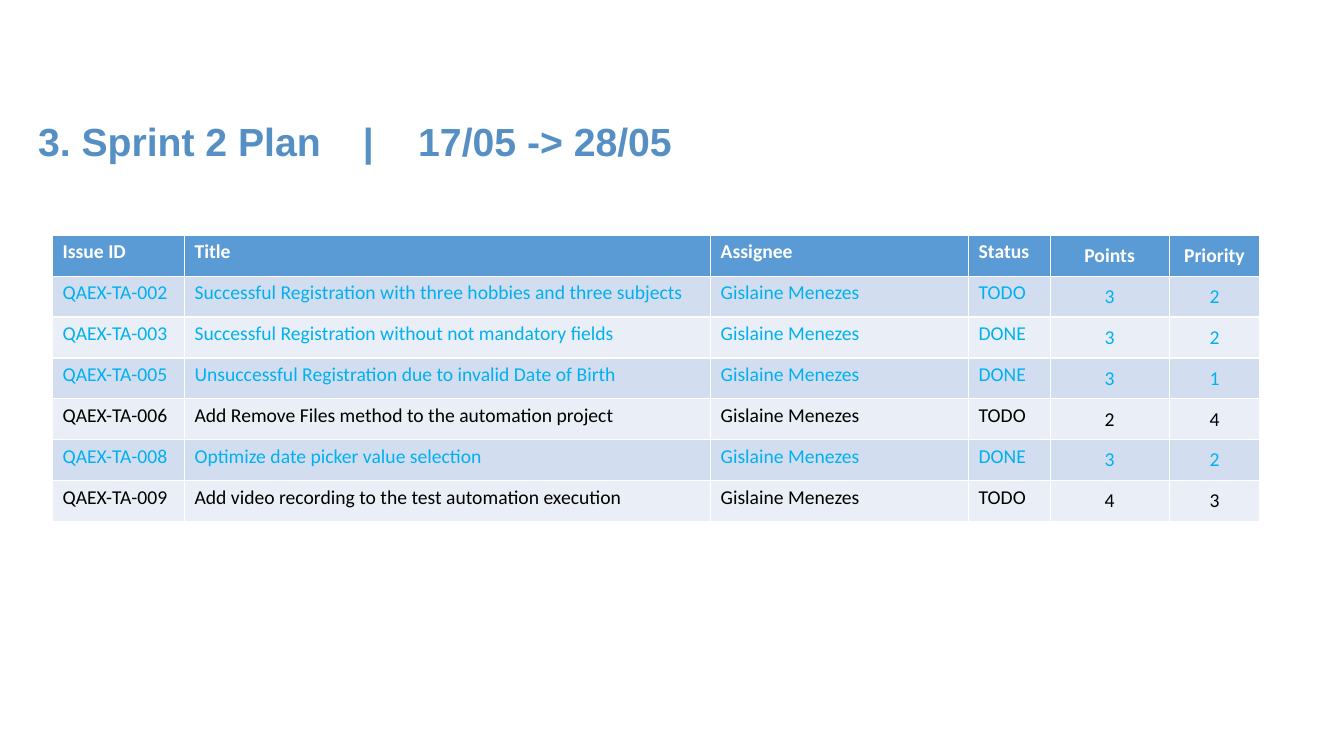
import dataclasses
import pptx
import pptx.dml.color
import pptx.enum.text
import pptx.util
from lxml import etree

Pt = pptx.util.Pt
RGB = pptx.dml.color.RGBColor.from_string
ALIGN = pptx.enum.text.PP_ALIGN
ANCHOR = pptx.enum.text.MSO_ANCHOR


@dataclasses.dataclass(frozen=True)
class Theme:
    title: str = "558FC4"
    header: str = "5B9BD5"
    bands: tuple = ("EAEFF7", "D2DEEF")
    white: str = "FFFFFF"
    black: str = "000000"
    registration: str = "00B0F0"
    title_font: str = "Arial"
    table_font: str = "Calibri"
    title_size: int = 28
    table_size: int = 14


theme = Theme()


def write(tf, text, font, size, color, bold=False, align=ALIGN.LEFT):
    p = tf.paragraphs[0]
    p.alignment = align
    r = p.add_run()
    r.text = text
    r.font.name = font
    r.font.size = Pt(size)
    r.font.bold = bold
    r.font.color.rgb = RGB(color)
    return p


prs = pptx.Presentation()
prs.slide_width, prs.slide_height = Pt(960), Pt(540)
s = prs.slides.add_slide(prs.slide_layouts[5])

sp = s.shapes.title
sp.left, sp.top, sp.width, sp.height = Pt(20), Pt(80), Pt(517), Pt(41)
tf = sp.text_frame
tf.word_wrap = True
tf.auto_size = pptx.enum.text.MSO_AUTO_SIZE.SHAPE_TO_FIT_TEXT
tf.vertical_anchor = ANCHOR.TOP
p = write(tf, "3. Sprint 2 Plan\t|\t17/05 -> 28/05", font=theme.title_font,
          size=theme.title_size, color=theme.title, bold=True)
pPr = p._p.get_or_add_pPr()
ns = pptx.oxml.ns.qn("a:tabLst")
tabs = etree.SubElement(pPr, ns)
for stop in (232, 271.5):
    etree.SubElement(tabs, pptx.oxml.ns.qn("a:tab"), pos=str(Pt(stop)), algn="l")

headings = ("Issue ID", "Title", "Assignee", "Status", "Points", "Priority")
assignee = "Gislaine Menezes"
issues = (
    ("002", "Successful Registration with three hobbies and three subjects", "TODO", 3, 2),
    ("003", "Successful Registration without not mandatory fields", "DONE", 3, 2),
    ("005", "Unsuccessful Registration due to invalid Date of Birth", "DONE", 3, 1),
    ("006", "Add Remove Files method to the automation project", "TODO", 2, 4),
    ("008", "Optimize date picker value selection", "DONE", 3, 2),
    ("009", "Add video recording to the test automation execution", "TODO", 4, 3),
)
black_issues = ("006", "009")
rows = [(headings, theme.header, theme.white)]
for i, (number, title, status, points, priority) in enumerate(issues, 1):
    color = theme.black if number in black_issues else theme.registration
    values = (f"QAEX-TA-{number}", title, assignee, status, str(points), str(priority))
    rows.append((values, theme.bands[i % 2], color))

widths = (94.3, 375.8, 184.3, 58.3, 85, 64.8)
row_height = 29.25
table = s.shapes.add_table(len(rows), len(widths), Pt(37.5), Pt(168),
                           Pt(sum(widths)), Pt(row_height * len(rows))).table
for column, width in zip(table.columns, widths):
    column.width = Pt(width)

for i, (values, fill, color) in enumerate(rows):
    table.rows[i].height = Pt(row_height)
    for j, value in enumerate(values):
        cell = table.cell(i, j)
        cell.fill.solid()
        cell.fill.fore_color.rgb = RGB(fill)
        numeric = j >= 4
        cell.vertical_anchor = ANCHOR.MIDDLE if numeric else ANCHOR.TOP
        write(cell.text_frame, value, font=theme.table_font, size=theme.table_size,
              color=color, bold=i == 0, align=ALIGN.CENTER if numeric else ALIGN.LEFT)

prs.save("out.pptx")
